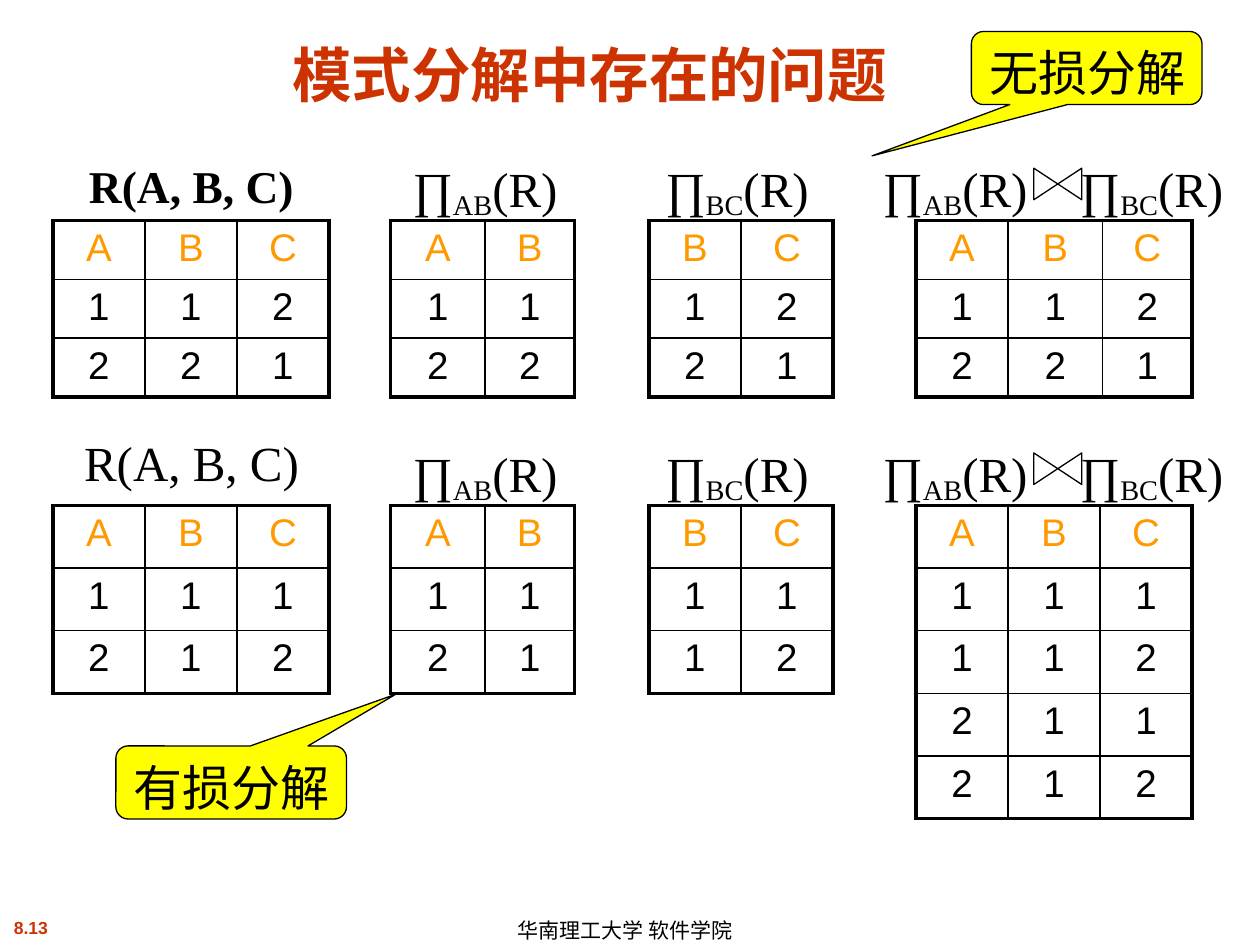
import pptx
import pptx.dml.color
import pptx.enum.shapes
import pptx.enum.text
import pptx.oxml
import pptx.oxml.ns
import pptx.util
from pptx.util import Inches

THEME = {
    "black": "000000", "red": "CC3300", "orange": "FF9900", "yellow": "FFFF00",
    "sans": "Arial", "serif": "Times New Roman",
    "title": 34, "label": 28, "relation": 26, "cell": 22, "footer": 12, "number": 10,
    "outer": 2.25, "inner": 1, "outline": 0.75,
}
TITLE = "模式分解中存在的问题"
FOOTER = "华南理工大学 软件学院"
PAGE_NUMBER = "8.13"

# Left edge and column widths of the four tables in each band
TABLE_LEFTS = [0.42, 3.1, 5.15, 7.27]
THIRDS, AB_WIDTHS, BC_WIDTHS = [0.73] * 3, [0.75, 0.71], [0.73] * 2
BANDS = [
    {"top": 1.75, "row": 0.467, "widths": [THIRDS, AB_WIDTHS, BC_WIDTHS, [0.73, 0.75, 0.71]],
     "relation": {"top": 1.08, "size": THEME["relation"], "bold": True, "spacing": 1.2},
     "tables": [["ABC", "112", "221"], ["AB", "11", "22"],
                ["BC", "12", "21"], ["ABC", "112", "221"]]},
    {"top": 4.01, "row": 0.498, "widths": [THIRDS, AB_WIDTHS, BC_WIDTHS, THIRDS],
     "relation": {"top": 3.34},
     "tables": [["ABC", "111", "212"], ["AB", "11", "21"],
                ["BC", "11", "12"], ["ABC", "111", "112", "211", "212"]]},
]
PROJECTIONS = [("AB", 2.85, 2), ("BC", 4.85, 2), ("AB", 6.58, 2), ("BC", 8.44, 1.4)]
CALLOUTS = [
    ("有损分解", 0.92, 5.92, (0.714, -1.208, 0.167)),
    ("无损分解", 7.71, 0.25, (-0.931, 1.202, 0.167)),
]

SHAPES = pptx.enum.shapes.MSO_SHAPE
ALIGN = pptx.enum.text.PP_ALIGN
ANCHOR = pptx.enum.text.MSO_ANCHOR


def color(name):
    return pptx.dml.color.RGBColor.from_string(THEME[name])


def write(frame, text, size=THEME["label"], font="serif", ink="black", bold=False,
          align=ALIGN.CENTER, spacing=None):
    """Fill the first paragraph; text is a string or (text, baseline) pairs."""
    para = frame.paragraphs[0]
    para.alignment = align
    if spacing:
        para.line_spacing = spacing
    for part, baseline in [(text, 0)] if isinstance(text, str) else text:
        span = para.add_run()
        span.text = part
        span.font.size = pptx.util.Pt(size)
        span.font.name = THEME[font]
        span.font.bold = bold
        span.font.color.rgb = color(ink)
        if baseline:
            span._r.get_or_add_rPr().set("baseline", str(baseline * 1000))


def add_text(shapes, text, left, top, width, height=0.67, wrap=True, inset=0.09,
             anchor=ANCHOR.TOP, **style):
    box = shapes.add_textbox(Inches(left), Inches(top), Inches(width), Inches(height))
    frame = box.text_frame
    frame.word_wrap = wrap
    frame.margin_top = Inches(inset)
    frame.vertical_anchor = anchor
    write(frame, text, **style)


def add_outlined(shapes, kind, left, top, width, height, fill=None):
    shape = shapes.add_shape(kind, Inches(left), Inches(top), Inches(width), Inches(height))
    shape.shadow.inherit = False
    if fill:
        shape.fill.solid()
        shape.fill.fore_color.rgb = color(fill)
    else:
        shape.fill.background()
    shape.line.color.rgb = color("black")
    shape.line.width = pptx.util.Pt(THEME["outline"])
    return shape


def set_borders(cell, outer_sides):
    properties = cell._tc.get_or_add_tcPr()
    for position, side in enumerate("LRTB"):
        width = pptx.util.Pt(THEME["outer" if side in outer_sides else "inner"])
        properties.insert(position, pptx.oxml.parse_xml(
            f'<a:ln{side} {pptx.oxml.ns.nsdecls("a")} w="{width}"><a:solidFill>'
            f'<a:srgbClr val="{THEME["black"]}"/></a:solidFill></a:ln{side}>'))


def add_relation_table(shapes, rows, left, top, widths, row_height):
    count = len(rows)
    table = shapes.add_table(count, len(widths), Inches(left), Inches(top),
                             Inches(sum(widths)), Inches(row_height * count)).table
    table.first_row = table.horz_banding = False
    for column, width in zip(table.columns, widths):
        column.width = Inches(width)
    for r, values in enumerate(rows):
        table.rows[r].height = Inches(row_height)
        for c, value in enumerate(values):
            cell = table.cell(r, c)
            cell.fill.background()
            write(cell.text_frame, value, size=THEME["cell"], font="sans",
                  ink="black" if r else "orange")
            edges = {"L": c == 0, "R": c == len(widths) - 1, "T": r == 0, "B": r == count - 1}
            set_borders(cell, [side for side, outer in edges.items() if outer])


def add_band(shapes, band):
    relation = dict(band["relation"])
    add_text(shapes, "R(A, B, C)", 0.52, relation.pop("top"), 2, **relation)
    for rows, left, widths in zip(band["tables"], TABLE_LEFTS, band["widths"]):
        add_relation_table(shapes, rows, left, band["top"], widths, band["row"])
    for attributes, left, width in PROJECTIONS:
        add_text(shapes, [("∏", 0), (attributes, -16), ("(R)", 0)],
                 left, band["top"] - 0.58, width)
    join = add_outlined(shapes, SHAPES.FLOWCHART_COLLATE, 8.27, band["top"] - 0.48, 0.25, 0.38)
    join.rotation = 90


def add_callout(shapes, text, left, top, adjustments):
    group = shapes.add_group_shape().shapes
    bubble = add_outlined(group, SHAPES.ROUNDED_RECTANGULAR_CALLOUT,
                          left, top, 1.83, 0.58, fill="yellow")
    for index, value in enumerate(adjustments):
        bubble.adjustments[index] = value
    add_text(group, text, left - 0.08, top, 2)


def main():
    deck = pptx.Presentation()
    deck.slide_width, deck.slide_height = Inches(10), Inches(7.5)
    page = deck.slides.add_slide(deck.slide_layouts[5])
    shapes = page.shapes

    title = shapes.title
    title.left, title.top = Inches(0.43), Inches(0)
    title.width, title.height = Inches(8.5), Inches(0.92)
    title.text_frame.vertical_anchor = ANCHOR.BOTTOM
    write(title.text_frame, TITLE, size=THEME["title"], font="sans", ink="red", bold=True)

    add_text(shapes, PAGE_NUMBER, 0, 7.23, 0.49, 0.27, wrap=False, inset=0.05,
             size=THEME["number"], font="sans", ink="red", bold=True)
    add_text(shapes, FOOTER, 4.01, 7.25, 2.24, 0.25, wrap=False, inset=0.05,
             anchor=ANCHOR.MIDDLE, size=THEME["footer"], font="sans",
             align=ALIGN.LEFT, spacing=1.1)
    for band in BANDS:
        add_band(shapes, band)
    for callout in CALLOUTS:
        add_callout(shapes, *callout)
    deck.save("out.pptx")


if __name__ == "__main__":
    main()
